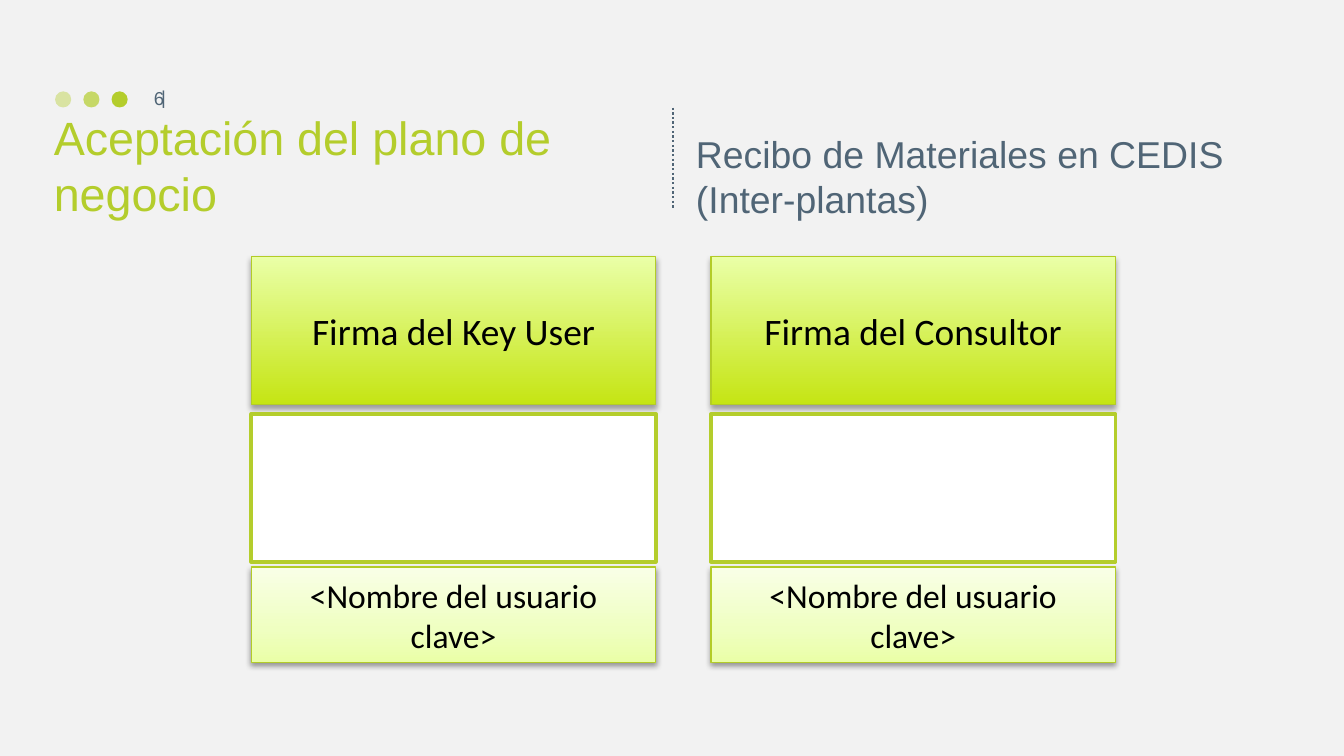
from pptx import Presentation
from pptx.dml.color import RGBColor
from pptx.enum.dml import MSO_LINE
from pptx.enum.shapes import MSO_CONNECTOR, MSO_SHAPE
from pptx.enum.text import MSO_ANCHOR, PP_ALIGN
from pptx.oxml import parse_xml
from pptx.oxml.ns import nsdecls, qn
from pptx.util import Inches, Pt
from lxml.etree import SubElement

GREEN = RGBColor(0xB4, 0xCD, 0x2C)
BORDER = RGBColor(0xB3, 0xCC, 0x27)
SLATE = RGBColor(0x50, 0x65, 0x76)
BLACK = RGBColor(0, 0, 0)
WHITE = RGBColor(0xFF, 0xFF, 0xFF)
BACKGROUND = RGBColor(0xF2, 0xF2, 0xF2)
# Gradient stops, from bottom to top: position in percent, colour
STRONG = [(0, RGBColor(0xC5, 0xE5, 0x14)), (100, RGBColor(0xEA, 0xFF, 0xA7))]
PALE = [(0, RGBColor(0xEA, 0xFF, 0xA7)), (35, RGBColor(0xEF, 0xFF, 0xC1)),
        (100, RGBColor(0xF9, 0xFF, 0xE7))]

TITLE = "Aceptación del plano de negocio"
SUBTITLE = "Recibo de Materiales en CEDIS (Inter-plantas)"
PAGE = "6"
SIGNATURES = [
    ("Firma del Key User", "<Nombre del usuario clave>"),
    ("Firma del Consultor", "<Nombre del usuario clave>"),
]
DOT_OPACITY = [40, 70, 100]

CARD_LEFT, CARD_STEP, CARD_W = 1.87, 3.42, 3.01
HEAD_TOP, SIGN_TOP, NAME_TOP = 1.91, 3.08, 4.22
BOX_H, NAME_H = 1.1, 0.71
DOT_LEFT, DOT_STEP, DOT_SIZE = 0.41, 0.21, 0.12


def write(sp, text, size, color, font="Arial", align=PP_ALIGN.LEFT,
          anchor=MSO_ANCHOR.MIDDLE, wrap=True, spacing=None):
    tf = sp.text_frame
    tf.text = text
    tf.word_wrap = wrap
    tf.vertical_anchor = anchor
    p = tf.paragraphs[0]
    p.alignment = align
    p.line_spacing = spacing
    f = p.runs[0].font
    f.name, f.size, f.color.rgb = font, Pt(size), color
    return tf


def add_text(slide, box, *args, **kwargs):
    sp = slide.shapes.add_textbox(*map(Inches, box))
    return write(sp, *args, **kwargs)


def add_shape(slide, kind, box, color):
    sp = slide.shapes.add_shape(kind, *map(Inches, box))
    sp.shadow.inherit = False
    sp.fill.solid()
    sp.fill.fore_color.rgb = color
    sp.line.fill.background()
    return sp


def outline(sp, color, width):
    sp.line.color.rgb = color
    sp.line.width = Pt(width)


def set_gradient(sp, stops):
    sp.fill.gradient()
    sp.fill.gradient_angle = 90
    gs_list = sp._element.spPr.find(".//" + qn("a:gsLst"))
    for gs in list(gs_list):
        gs_list.remove(gs)
    for pos, color in stops:
        gs = SubElement(gs_list, qn("a:gs"), pos=str(pos * 1000))
        SubElement(gs, qn("a:srgbClr"), val=str(color))


def set_shadow(sp, distance, opacity):
    effects = sp._element.spPr.find(qn("a:effectLst"))
    effects.append(parse_xml(
        f'<a:outerShdw {nsdecls("a")} blurRad="{Pt(3.1)}" dist="{Pt(distance)}" '
        f'dir="5400000" rotWithShape="0"><a:srgbClr val="000000">'
        f'<a:alpha val="{opacity * 1000}"/></a:srgbClr></a:outerShdw>'))


def add_label(slide, box, text, size, stops, distance, opacity):
    sp = add_shape(slide, MSO_SHAPE.RECTANGLE, box, WHITE)
    set_gradient(sp, stops)
    outline(sp, BORDER, 0.75)
    set_shadow(sp, distance, opacity)
    write(sp, text, size, BLACK, "Calibri", PP_ALIGN.CENTER)


def add_header(slide):
    for i, opacity in enumerate(DOT_OPACITY):
        box = (DOT_LEFT + i * DOT_STEP, 0.68, DOT_SIZE, DOT_SIZE)
        dot = add_shape(slide, MSO_SHAPE.OVAL, box, GREEN)
        color = dot._element.spPr.find(".//" + qn("a:srgbClr"))
        SubElement(color, qn("a:alpha"), val=str(opacity * 1000))

    divider = slide.shapes.add_connector(
        MSO_CONNECTOR.STRAIGHT, *map(Inches, (5.01, 0.8, 5.01, 1.55)))
    outline(divider, SLATE, 1.25)
    divider.line.dash_style = MSO_LINE.ROUND_DOT
    SubElement(divider._element.spPr, qn("a:effectLst"))

    title = slide.shapes.title
    title.left, title.top, title.width, title.height = map(
        Inches, (0.3, 0.75, 4.59, 0.94))
    write(title, TITLE, 25, GREEN, anchor=MSO_ANCHOR.BOTTOM)
    add_text(slide, (5.08, 0.75, 4.42, 0.94), SUBTITLE, 20, SLATE,
             anchor=MSO_ANCHOR.BOTTOM)

    tf = add_text(slide, (1.2, 0.66, 0.06, 0.15), "|", 10, SLATE,
                  anchor=MSO_ANCHOR.TOP, wrap=False, spacing=0.5)
    tf.margin_bottom = 0
    add_text(slide, (0.86, 0.58, 0.46, 0.3), PAGE, 10, SLATE,
             align=PP_ALIGN.RIGHT)


def add_signatures(slide):
    for i, (heading, name) in enumerate(SIGNATURES):
        left = CARD_LEFT + i * CARD_STEP
        add_label(slide, (left, HEAD_TOP, CARD_W, BOX_H), heading, 20,
                  STRONG, 1.8, 35)
        field = add_shape(slide, MSO_SHAPE.RECTANGLE,
                          (left, SIGN_TOP, CARD_W, BOX_H), WHITE)
        outline(field, GREEN, 2)
        add_label(slide, (left, NAME_TOP, CARD_W, NAME_H), name, 18,
                  PALE, 1.6, 38)


def main():
    prs = Presentation()
    prs.slide_width = Inches(10)
    prs.slide_height = prs.slide_width * 9 // 16
    slide = prs.slides.add_slide(prs.slide_layouts[5])
    slide.background.fill.solid()
    slide.background.fill.fore_color.rgb = BACKGROUND
    add_header(slide)
    add_signatures(slide)
    prs.save("out.pptx")


if __name__ == "__main__":
    main()
